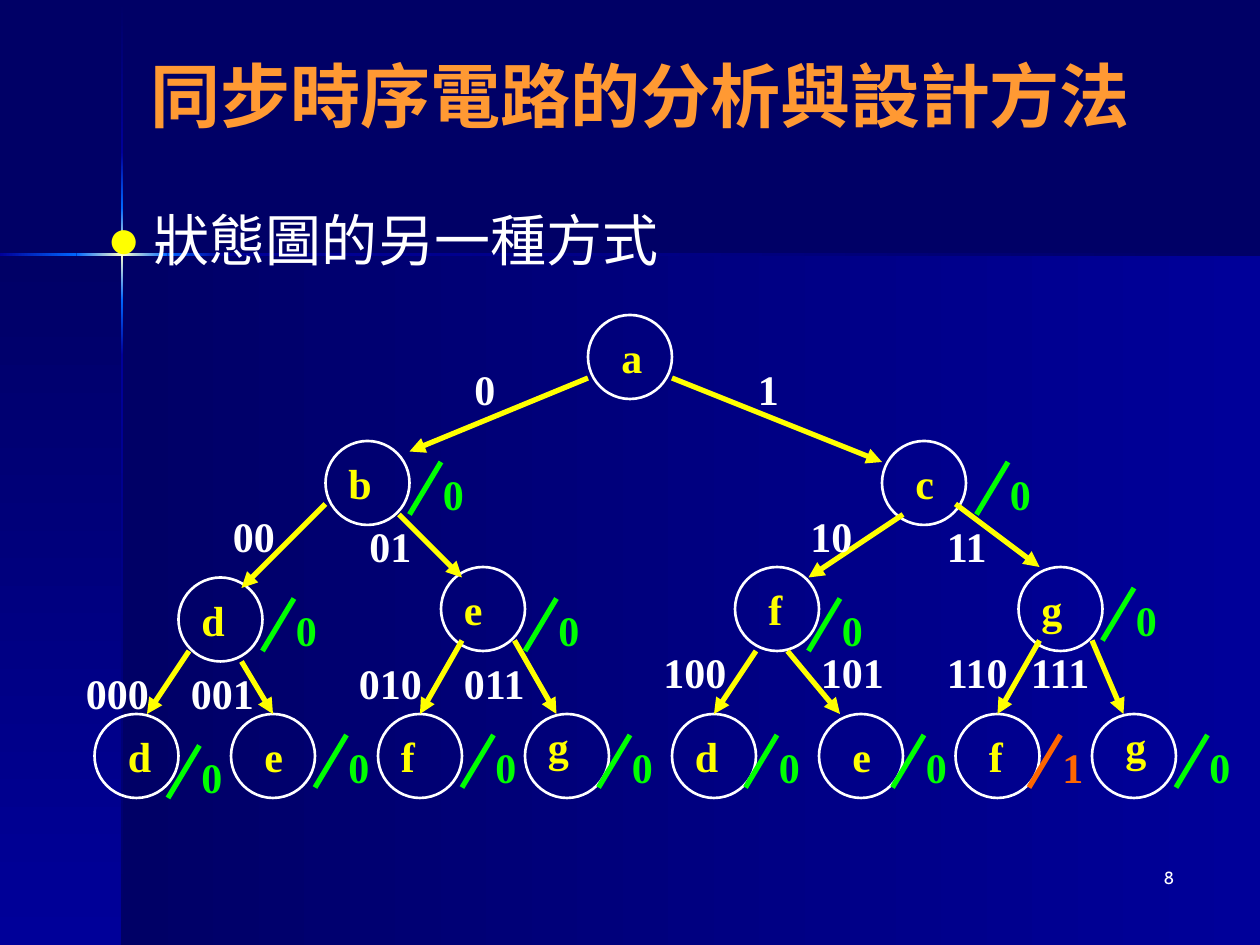
from copy import deepcopy
from itertools import pairwise

from lxml.etree import SubElement
from pptx import Presentation
from pptx.dml.color import RGBColor
from pptx.enum.shapes import MSO_CONNECTOR as Connector, MSO_SHAPE as Shape
from pptx.enum.text import MSO_ANCHOR as Anchor, MSO_AUTO_SIZE as AutoSize, PP_ALIGN as Align
from pptx.oxml.ns import qn
from pptx.util import Cm, Pt

NAVY = RGBColor(0x00, 0x00, 0x66)
BLUE = RGBColor(0x00, 0x00, 0x99)
SKY = RGBColor(0x00, 0x66, 0xFF)
CREAM = RGBColor(0xFF, 0xFF, 0xCC)
WHITE = RGBColor(0xFF, 0xFF, 0xFF)
YELLOW = RGBColor(0xFF, 0xFF, 0x00)
GREEN = RGBColor(0x00, 0xFF, 0x00)
RED = RGBColor(0xFF, 0x66, 0x00)
ORANGE = RGBColor(0xFF, 0x99, 0x33)

HEADING_FONT = "Cabin"
DIAGRAM_FONT = "Times New Roman"
WIDTH, HEIGHT = 25.4, 19.05
CROSS_X, CROSS_Y = 2.46, 5.13
STRIPE = 0.05

# The diagram lies on a grid of 12 steps to 2.54 cm
NODE_SIZE = 8
TEXT_WIDTH, TEXT_HEIGHT = 5, 6

# State, circle x, y, letter offset x, y
NODES = [
    ("a", 56, 30, 2, 1),
    ("b", 31, 42, 1, 1), ("c", 84, 42, 2, 1),
    ("d", 17, 55, 1, 1), ("e", 42, 54, 1, 1), ("f", 70, 54, 2, 1), ("g", 97, 54, 1, 1),
    ("d", 9, 68, 2, 1), ("e", 22, 68, 2, 1), ("f", 36, 68, 1, 1), ("g", 50, 68, 1, 0),
    ("d", 64, 68, 1, 1), ("e", 78, 68, 2, 1), ("f", 91, 68, 2, 1), ("g", 104, 68, 2, 0),
]
# Arrow start x, y, end x, y
BRANCHES = [
    (56, 36, 39, 43), (64, 36, 84, 44),
    (31, 48, 23, 56), (38, 49, 44, 55), (86, 49, 77, 55), (91, 48, 99, 54),
    (18, 62, 14, 68), (23, 63, 26, 68), (44, 61, 40, 68), (49, 61, 53, 68),
    (72, 62, 68, 68), (75, 62, 80, 68), (99, 61, 95, 68), (104, 61, 107, 68),
]
# Input sequence, x, y, width
INPUTS = [
    ("0", 44, 34, 5), ("1", 71, 34, 5),
    ("00", 21, 48, 7), ("01", 34, 49, 9), ("10", 76, 48, 7), ("11", 89, 49, 8),
    ("000", 7, 63, 9), ("001", 17, 63, 9), ("010", 33, 62, 9), ("011", 43, 62, 9),
    ("100", 62, 61, 9), ("101", 77, 61, 9), ("110", 89, 61, 9), ("111", 97, 61, 9),
]
# Output value, x, y, colour
OUTPUTS = [
    ("0", 39, 44, GREEN), ("0", 93, 44, GREEN),
    ("0", 25, 57, GREEN), ("0", 50, 57, GREEN), ("0", 77, 57, GREEN), ("0", 105, 56, GREEN),
    ("0", 16, 71, GREEN), ("0", 30, 70, GREEN), ("0", 44, 70, GREEN), ("0", 57, 70, GREEN),
    ("0", 71, 70, GREEN), ("0", 85, 70, GREEN), ("1", 98, 70, RED), ("0", 112, 70, GREEN),
]


def grid(*steps):
    return [Cm(step * 2.54 / 12) for step in steps]


def write_text(shape, text, *, size=24, color=WHITE, font=DIAGRAM_FONT, bold=True,
               align=Align.LEFT, anchor=Anchor.TOP, bullet=None):
    frame = shape.text_frame
    frame.word_wrap = True
    frame.auto_size = AutoSize.NONE
    frame.vertical_anchor = anchor
    frame.text = text
    paragraph = frame.paragraphs[0]
    paragraph.alignment = align
    paragraph.space_before = Pt(0)
    if bullet:
        add_bullet(paragraph, bullet)
    paragraph.font.name = font
    paragraph.font.size = Pt(size)
    paragraph.font.bold = bold
    paragraph.font.color.rgb = color


def add_bullet(paragraph, character):
    properties = paragraph._p.get_or_add_pPr()
    properties.set("marL", str(Cm(0.95)))
    properties.set("indent", str(-Cm(0.95)))
    bullet_color = SubElement(properties, qn("a:buClr"))
    SubElement(bullet_color, qn("a:srgbClr"), val=str(YELLOW))
    SubElement(properties, qn("a:buChar"), char=character)


def add_text(shapes, text, x, y, width=TEXT_WIDTH, **text_format):
    box = shapes.add_textbox(*grid(x, y, width, TEXT_HEIGHT))
    write_text(box, text, **text_format)


def add_gradient(slide, left, top, width, height, colors, vertical):
    panel = slide.shapes.add_shape(Shape.RECTANGLE, Cm(left), Cm(top), Cm(width), Cm(height))
    panel.shadow.inherit = False
    panel.line.fill.background()
    panel.fill.gradient()
    panel.fill.gradient_angle = 270 if vertical else 0
    stop_list = panel._element.spPr.find(".//" + qn("a:gsLst"))
    for _ in colors[2:]:
        stop_list.append(deepcopy(stop_list[0]))
    for index, (stop, color) in enumerate(zip(panel.fill.gradient_stops, colors)):
        stop.position = index / (len(colors) - 1)
        stop.color.rgb = color


def add_backdrop(slide):
    slide.background.fill.solid()
    slide.background.fill.fore_color.rgb = NAVY
    add_gradient(slide, CROSS_X, CROSS_Y, WIDTH - CROSS_X, HEIGHT - CROSS_Y, [NAVY, BLUE], False)
    add_gradient(slide, 0, CROSS_Y, CROSS_X, HEIGHT - CROSS_Y, [NAVY, BLUE], True)
    # Glowing cross
    glow = [[NAVY, BLUE], [BLUE, SKY], [SKY, CREAM, SKY], [SKY, BLUE], [BLUE, NAVY]]
    rows = [0.03, 3.07, 4.19, 6.05, 7.16, HEIGHT]
    for (top, bottom), colors in zip(pairwise(rows), glow):
        add_gradient(slide, CROSS_X - STRIPE / 2, top, STRIPE, bottom - top, colors, True)
    columns = [0, 1.54, 3.38, 4.5, WIDTH]
    for (left, right), colors in zip(pairwise(columns), glow[1:]):
        add_gradient(slide, left, CROSS_Y - STRIPE / 2, right - left, STRIPE, colors, False)


def place_placeholder(slide, placeholder, left, top, width, height):
    placeholder.left, placeholder.top = Cm(left), Cm(top)
    placeholder.width, placeholder.height = Cm(width), Cm(height)
    slide.shapes._spTree.append(placeholder._element)  # in front of the backdrop


def add_node(slide, state, x, y, offset_x, offset_y):
    group = slide.shapes.add_group_shape()
    circle = group.shapes.add_shape(Shape.OVAL, *grid(x, y, NODE_SIZE, NODE_SIZE))
    circle.shadow.inherit = False
    circle.fill.background()
    circle.line.color.rgb = WHITE
    circle.line.width = Pt(1.5)
    add_text(group.shapes, state, x + offset_x, y + offset_y, color=YELLOW)


def add_line(slide, start_x, start_y, end_x, end_y, color, arrow=False):
    line = slide.shapes.add_connector(Connector.STRAIGHT, *grid(start_x, start_y, end_x, end_y))
    line.line.color.rgb = color
    line.line.width = Pt(3)
    if arrow:
        SubElement(line.line._get_or_add_ln(), qn("a:tailEnd"), type="triangle")
    SubElement(line._element.spPr, qn("a:effectLst"))


def add_output(slide, value, x, y, color):
    add_line(slide, x + 3, y, x, y + 5, color)
    add_text(slide.shapes, value, x + 2, y, color=color)


def main():
    presentation = Presentation()
    presentation.slide_width, presentation.slide_height = Cm(WIDTH), Cm(HEIGHT)
    slide = presentation.slides.add_slide(presentation.slide_layouts[1])
    add_backdrop(slide)

    # Page number, title and bullet
    number = slide.shapes.add_textbox(Cm(18.63), Cm(17.36), Cm(5.29), Cm(1.27))
    write_text(number, "8", size=10, font=HEADING_FONT, bold=False, align=Align.RIGHT)
    title, body = slide.shapes.title, slide.placeholders[1]
    place_placeholder(slide, title, 1.27, 0.85, 23.28, 2.12)
    write_text(title, "同步時序電路的分析與設計方法", size=40, color=ORANGE,
               font=HEADING_FONT, align=Align.CENTER, anchor=Anchor.MIDDLE)
    place_placeholder(slide, body, 1.9, 4.02, 22.01, 12.91)
    write_text(body, "狀態圖的另一種方式", size=32, font=HEADING_FONT, bold=False, bullet="●")

    # State tree
    for node in NODES:
        add_node(slide, *node)
    for branch in BRANCHES:
        add_line(slide, *branch, YELLOW, arrow=True)
    for sequence in INPUTS:
        add_text(slide.shapes, *sequence)
    for output in OUTPUTS:
        add_output(slide, *output)

    presentation.save("out.pptx")


if __name__ == "__main__":
    main()
